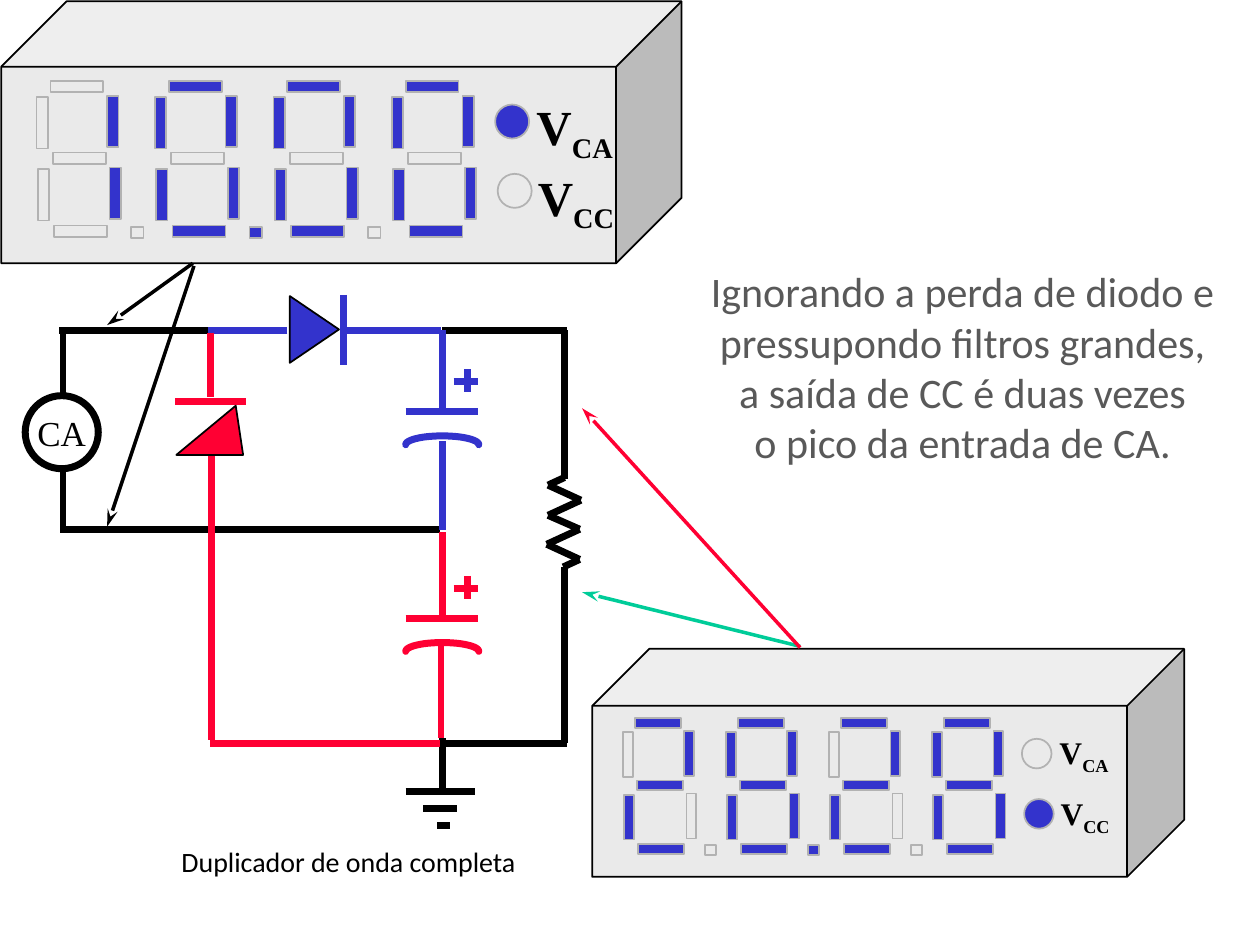
"""Build the full-wave voltage doubler slide with its two meters."""
from dataclasses import dataclass
from itertools import pairwise
from math import cos, pi, sin

from lxml import etree
from pptx import Presentation
from pptx.dml.color import RGBColor
from pptx.enum.shapes import MSO_CONNECTOR, MSO_SHAPE
from pptx.enum.text import MSO_ANCHOR, MSO_AUTO_SIZE, PP_ALIGN
from pptx.oxml.ns import qn
from pptx.util import Inches, Pt

STRAIGHT = MSO_CONNECTOR.STRAIGHT
RECTANGLE, OVAL = MSO_SHAPE.RECTANGLE, MSO_SHAPE.OVAL
CUBE, TRIANGLE = MSO_SHAPE.CUBE, MSO_SHAPE.ISOSCELES_TRIANGLE
LEFT, CENTER = PP_ALIGN.LEFT, PP_ALIGN.CENTER
TOP, NO_AUTOFIT = MSO_ANCHOR.TOP, MSO_AUTO_SIZE.NONE
SERIF, SANS = "Times New Roman", "Calibri"

COLORS = {
    "black": "000000", "blue": "3333CC", "red": "FF0033", "green": "00CC99",
    "case": "EAEAEA", "outline": "B2B2B2", "gray": "595959",
}
SEGMENTS = {
    "top": (0.11, 0, 0.42, 0.09),
    "middle": (0.13, 0.57, 0.42, 0.09),
    "bottom": (0.14, 1.15, 0.42, 0.09),
    "upper left": (0, 0.13, 0.09, 0.41),
    "upper right": (0.56, 0.12, 0.09, 0.41),
    "lower left": (0.01, 0.7, 0.09, 0.41),
    "lower right": (0.58, 0.69, 0.09, 0.41),
}
UNLIT = {
    "0": {"middle"},
    "1": {"top", "middle", "bottom", "upper left", "lower left"},
    "2": {"upper left", "lower right"},
    "8": set(),
}
DIGIT_LEFT, DIGIT_TOP, DIGIT_PITCH = 0.28, 0.63, 0.94
POINT = (0.75, 1.16, 0.1, 0.09)
LIT_POINT = 1
CAPACITOR_X = 3.51


@dataclass(frozen=True)
class Wire:
    start: tuple[float, float]
    end: tuple[float, float]
    color: str = "black"
    width: float = 4
    arrow: bool = False


@dataclass(frozen=True)
class Meter:
    left: float
    top: float
    scale: float
    digits: str
    active: str
    label_size: int


BLACK_WIRES = [
    Wire((3.22, 6.28), (3.77, 6.28)), Wire((3.36, 6.42), (3.63, 6.42)),
    Wire((3.47, 6.55), (3.57, 6.55)), Wire((0.5, 2.63), (0.5, 3.12)),
    Wire((3.49, 4.2), (0.51, 4.2)), Wire((0.5, 3.74), (0.5, 4.23)),
    Wire((1.65, 2.62), (0.47, 2.62)), Wire((4.48, 3.8), (4.48, 2.62)),
    Wire((3.51, 2.62), (4.5, 2.62)), Wire((4.48, 4.5), (4.48, 5.9)),
    Wire((3.5, 5.9), (4.5, 5.9)), Wire((3.51, 6.27), (3.51, 5.86)),
]
RESISTOR = [(4.48, 3.79), (4.35, 3.85), (4.61, 3.97), (4.35, 4.09),
            (4.6, 4.2), (4.34, 4.32), (4.6, 4.44), (4.47, 4.5)]
COLORED_WIRES = [
    Wire((2.73, 2.34), (2.73, 2.9), "blue"), Wire((3.51, 3.24), (3.51, 2.62), "blue"),
    Wire((3.51, 3.5), (3.51, 4.21), "blue"), Wire((3.5, 2.62), (2.75, 2.62), "blue"),
    Wire((2.28, 2.62), (1.65, 2.62), "blue"), Wire((1.39, 3.19), (1.95, 3.19), "red"),
    Wire((3.51, 4.89), (3.51, 4.22), "red"), Wire((1.68, 3.62), (1.68, 5.87), "red"),
    Wire((1.67, 5.9), (3.49, 5.9), "red"), Wire((1.67, 3.15), (1.67, 2.64), "red"),
    Wire((3.5, 5.11), (3.5, 5.86), "red"),
]
PROBES = [
    Wire((1.54, 2.11), (0.85, 4.18), "black", 2, True),
    Wire((1.53, 2.09), (0.85, 2.58), "black", 2, True),
    Wire((6.35, 5.13), (4.62, 4.7), "green", 2, True),
    Wire((6.35, 5.14), (4.62, 3.24), "red", 2, True),
]
METERS = [
    Meter(0.01, 0.01, 1, "1000", "CA", 28),
    Meter(4.7, 5.15, 0.87, "2828", "CC", 18),
]


def rgb(name: str) -> RGBColor:
    return RGBColor.from_string(COLORS[name])


def draw_wire(slide, wire: Wire) -> None:
    points = [Inches(value) for value in (*wire.start, *wire.end)]
    connector = slide.shapes.add_connector(STRAIGHT, *points)
    connector.line.color.rgb = rgb(wire.color)
    connector.line.width = Pt(wire.width)
    properties = connector._element.spPr
    if wire.arrow:
        line = properties.find(qn("a:ln"))
        etree.SubElement(line, qn("a:tailEnd"), type="stealth", w="med", len="lg")
    etree.SubElement(properties, qn("a:effectLst"))


def style_shape(shape, fill: str | None, line: str, width: float) -> None:
    shape.shadow.inherit = False
    if fill:
        shape.fill.solid()
        shape.fill.fore_color.rgb = rgb(fill)
    else:
        shape.fill.background()
    shape.line.color.rgb = rgb(line)
    shape.line.width = Pt(width)


def draw_shape(slide, kind, box, fill=None, line="black", width=1.0, adjustment=None, rotation=0):
    shape = slide.shapes.add_shape(kind, *map(Inches, box))
    style_shape(shape, fill, line, width)
    shape.rotation = rotation
    if adjustment is not None:
        shape.adjustments[0] = adjustment


def write_text(frame, lines, *, size, font, color="black", bold=False,
               align=LEFT, wrap=False, subscript="") -> None:
    frame.word_wrap = wrap
    frame.auto_size = NO_AUTOFIT
    frame.vertical_anchor = TOP
    for index, line in enumerate(lines):
        paragraph = frame.paragraphs[0] if index == 0 else frame.add_paragraph()
        paragraph.alignment = align
        for text in filter(None, (line, subscript)):
            run = paragraph.add_run()
            run.text = text
            run.font.size, run.font.name, run.font.bold = Pt(size), font, bold
            run.font.color.rgb = rgb(color)
            if text == subscript:
                run._r.get_or_add_rPr().set("baseline", "-25000")


def add_text(slide, box, lines: list[str], **text_format) -> None:
    frame = slide.shapes.add_textbox(*map(Inches, box)).text_frame
    write_text(frame, lines, **text_format)


def draw_capacitor(slide, plate: float, color: str) -> None:
    draw_wire(slide, Wire((3.22, plate), (3.79, plate), color))
    draw_wire(slide, Wire((3.6, plate - 0.24), (3.79, plate - 0.24), color))
    draw_wire(slide, Wire((3.71, plate - 0.34), (3.71, plate - 0.16), color))
    angles = [pi * step / 24 for step in range(25)]
    curve = [(Inches(CAPACITOR_X - 0.29 * cos(angle)),
              Inches(plate + 0.26 - 0.07 * sin(angle))) for angle in angles]
    builder = slide.shapes.build_freeform(*curve[0])
    builder.add_line_segments(curve[1:], close=False)
    shape = builder.convert_to_shape()
    style_shape(shape, None, color, 4)
    shape._element.spPr.find(qn("a:ln")).set("cap", "rnd")


def draw_meter(slide, meter: Meter) -> None:
    def place(left: float, top: float, width: float, height: float) -> tuple:
        scale = meter.scale
        return (meter.left + left * scale, meter.top + top * scale,
                width * scale, height * scale)

    def draw_light(kind, box, lit: bool) -> None:
        draw_shape(slide, kind, place(*box), "blue" if lit else None, "outline")

    draw_shape(slide, CUBE, place(0, 0, 5.4, 2.08), "case", adjustment=0.25)
    for index, digit in enumerate(meter.digits):
        digit_left = DIGIT_LEFT + index * DIGIT_PITCH
        for name, (left, top, width, height) in SEGMENTS.items():
            box = (digit_left + left, DIGIT_TOP + top, width, height)
            draw_light(RECTANGLE, box, name not in UNLIT[digit])
        if index < len(meter.digits) - 1:
            left, top, width, height = POINT
            box = (digit_left + left, DIGIT_TOP + top, width, height)
            draw_light(RECTANGLE, box, index == LIT_POINT)
    for row, mode in enumerate(("CA", "CC")):
        draw_light(OVAL, (3.92 + 0.02 * row, 0.82 + 0.55 * row, 0.27, 0.27), mode == meter.active)
        add_text(slide, place(4.15 + 0.01 * row, 0.71 + 0.56 * row, 0.86, 0.52), ["V"],
                 size=meter.label_size, font=SERIF, bold=True, subscript=mode)


def main() -> None:
    presentation = Presentation()
    presentation.slide_width, presentation.slide_height = Inches(10), Inches(7.5)
    slide = presentation.slides.add_slide(presentation.slide_layouts[5])
    title = slide.shapes.title
    title.left, title.top, title.width, title.height = map(Inches, (1.34, 6.65, 2.98, 0.37))
    write_text(title.text_frame, ["Duplicador de onda completa"], size=16, font=SANS, wrap=True)

    resistor = [Wire(start, end) for start, end in pairwise(RESISTOR)]
    for wire in BLACK_WIRES + resistor + COLORED_WIRES:
        draw_wire(slide, wire)
    draw_shape(slide, OVAL, (0.2, 3.14, 0.58, 0.58), width=4)
    add_text(slide, (0.16, 3.22, 0.66, 0.42), ["CA"], size=20, font=SERIF, align=CENTER)
    draw_capacitor(slide, 3.27, "blue")
    draw_capacitor(slide, 4.91, "red")
    draw_shape(slide, TRIANGLE, (2.23, 2.42, 0.53, 0.39), "blue", rotation=90)
    draw_shape(slide, TRIANGLE, (1.4, 3.22, 0.53, 0.39), "red", adjustment=0.89)
    for meter in METERS:
        draw_meter(slide, meter)
    for probe in PROBES:
        draw_wire(slide, probe)
    add_text(slide, (5.52, 2.06, 4.24, 1.72),
             ["Ignorando a perda de diodo e", "pressupondo filtros grandes,",
              "a saída de CC é duas vezes", "o pico da entrada de CA."],
             size=24, font=SANS, color="gray", align=CENTER)
    presentation.save("out.pptx")


if __name__ == "__main__":
    main()
